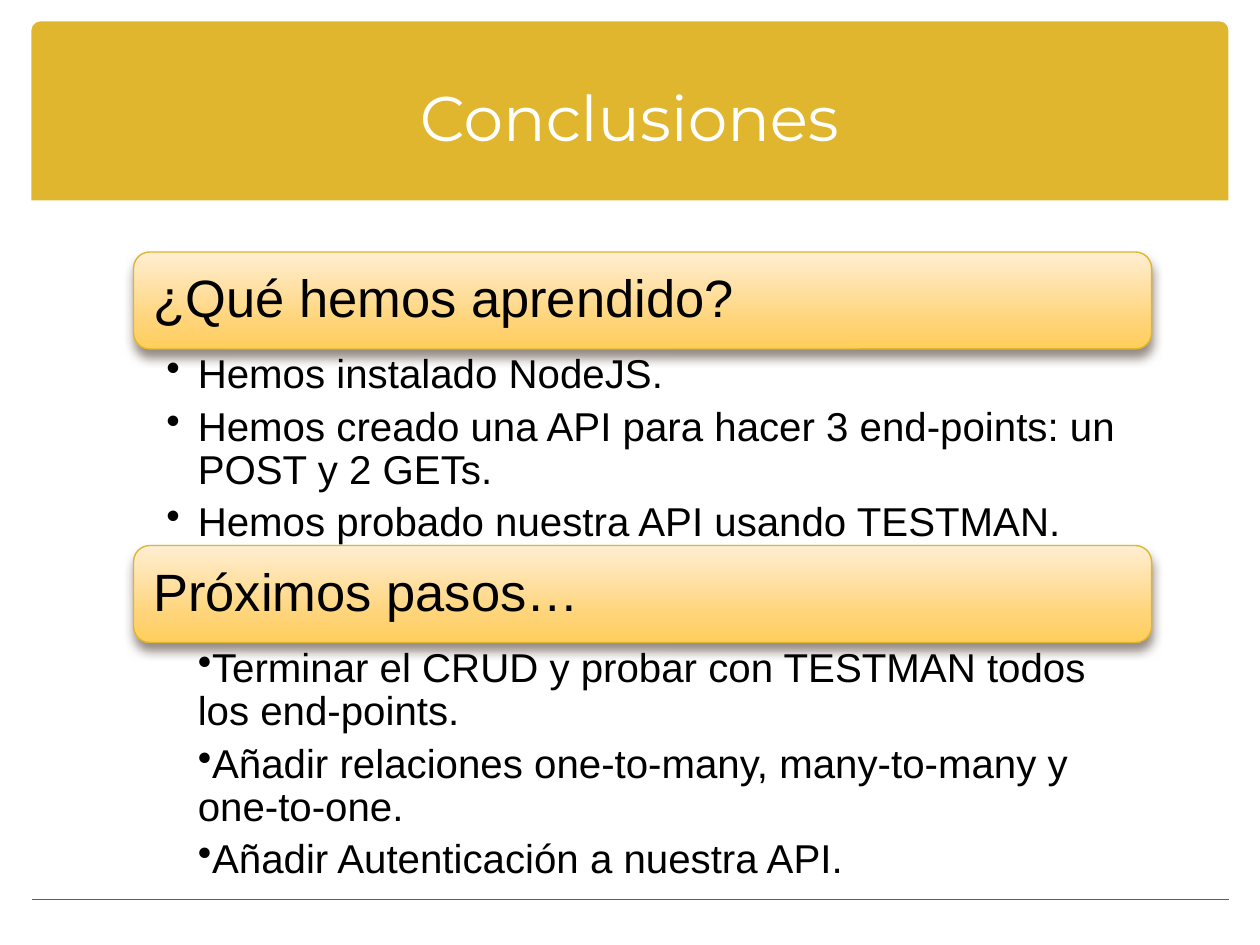
from copy import deepcopy
from dataclasses import dataclass

from lxml import etree
from pptx import Presentation
from pptx import util as u
from pptx.dml.color import RGBColor
from pptx.enum import shapes, text
from pptx.oxml.ns import qn


@dataclass(frozen=True)
class Theme:
    gold: str = "E0B62E"
    rule: str = "5D5C64"
    ink: str = "000000"
    white: str = "FFFFFF"
    shadow: str = "4E3B30"
    glow: tuple = ((0, "FFEED2"), (0.72, "FFD478"), (1, "FFCE5B"))
    title_font: str = "Montserrat"
    body_font: str = "Arial"
    title_size: int = 36
    heading_size: int = 30
    body_size: int = 23


class SlideBuilder:
    COLUMNS, ROWS = 100, 75

    def __init__(self, deck, theme):
        self.theme = theme
        self.column = deck.slide_width / self.COLUMNS
        self.row = deck.slide_height / self.ROWS
        self.page = deck.slides.add_slide(deck.slide_layouts[5])

    def place(self, left, top, width, height):
        return (round(left * self.column), round(top * self.row),
                round(width * self.column), round(height * self.row))

    def style(self, para, font, size, color):
        for span in para.runs:
            span.font.name = font
            span.font.size = u.Pt(size)
            span.font.color.rgb = RGBColor.from_string(color)

    def inset(self, frame, left, top, right, bottom):
        frame.word_wrap = True
        frame.margin_left, frame.margin_top = u.Inches(left), u.Inches(top)
        frame.margin_right, frame.margin_bottom = u.Inches(right), u.Inches(bottom)

    def title(self, words, *area):
        box = self.page.shapes.title
        box.left, box.top, box.width, box.height = self.place(*area)
        frame = box.text_frame
        frame.text = words
        frame.vertical_anchor = text.MSO_ANCHOR.MIDDLE
        para = frame.paragraphs[0]
        para.alignment = text.PP_ALIGN.CENTER
        self.style(para, self.theme.title_font, self.theme.title_size, self.theme.white)

    def band(self, *area):
        band = self.page.shapes.add_shape(
            shapes.MSO_SHAPE.ROUND_2_SAME_RECTANGLE, *self.place(*area))
        band.adjustments[0], band.adjustments[1] = 0.05, 0
        band.shadow.inherit = False
        band.fill.solid()
        band.fill.fore_color.rgb = RGBColor.from_string(self.theme.gold)
        band.line.fill.background()
        self.page.shapes.title.element.addprevious(band.element)

    def rule(self, left, right, row):
        x, y, width, _ = self.place(left, row, right - left, 0)
        line = self.page.shapes.add_connector(
            shapes.MSO_CONNECTOR.STRAIGHT, x, y, x + width, y)
        line.line.color.rgb = RGBColor.from_string(self.theme.rule)
        line.line.width = u.Pt(1)
        etree.SubElement(line.element.spPr, qn("a:effectLst"))

    def glow_fill(self, shape):
        shape.fill.gradient()
        shape.fill.gradient_angle = 270
        stop_list = shape.element.spPr.find(qn("a:gradFill")).find(qn("a:gsLst"))
        stop_list.append(deepcopy(stop_list[-1]))
        for stop, (position, color) in zip(shape.fill.gradient_stops, self.theme.glow):
            stop.position = position
            stop.color.rgb = RGBColor.from_string(color)

    def drop_shadow(self, shape):
        shape.shadow.inherit = False
        effects = shape.element.spPr.find(qn("a:effectLst"))
        shadow = etree.SubElement(
            effects, qn("a:outerShdw"), blurRad=str(u.Pt(6)), dist=str(u.Pt(4)),
            dir="5400000", rotWithShape="0")
        color = etree.SubElement(shadow, qn("a:srgbClr"), val=self.theme.shadow)
        etree.SubElement(color, qn("a:alpha"), val="60000")

    def heading(self, words, *area):
        bar = self.page.shapes.add_shape(
            shapes.MSO_SHAPE.ROUNDED_RECTANGLE, *self.place(*area))
        self.glow_fill(bar)
        bar.line.color.rgb = RGBColor.from_string(self.theme.gold)
        bar.line.width = u.Pt(0.79)
        self.drop_shadow(bar)
        frame = bar.text_frame
        self.inset(frame, 0.12, 0.12, 0.12, 0.12)
        frame.vertical_anchor = text.MSO_ANCHOR.MIDDLE
        frame.text = words
        para = frame.paragraphs[0]
        para.alignment = text.PP_ALIGN.LEFT
        para.line_spacing = 0.9
        self.style(para, self.theme.body_font, self.theme.heading_size, self.theme.ink)

    def bullets(self, items, hanging, *area):
        box = self.page.shapes.add_textbox(*self.place(*area))
        frame = box.text_frame
        self.inset(frame, 0.26, 0.04, 0.23, 0.04)
        frame.text = "\n".join(items)
        for para in frame.paragraphs:
            para.level = 1
            para.line_spacing = 0.9
            para.space_after = u.Pt(5)
            props = para._p.get_or_add_pPr()
            props.set("marL", str(u.Inches(0.25)))
            props.set("indent", str(u.Inches(-hanging)))
            etree.SubElement(props, qn("a:buChar"), char="•")
            self.style(para, self.theme.body_font, self.theme.body_size, self.theme.ink)


def main():
    deck = Presentation()
    deck.slide_width, deck.slide_height = u.Inches(10), u.Inches(7.5)
    slide = SlideBuilder(deck, Theme())
    slide.band(2.5, 1.7, 95, 14.2)
    slide.title("Conclusiones", 3.3, 3, 93.3, 12.5)
    slide.rule(2.5, 97.5, 71.4)

    sections = [
        ("¿Qué hemos aprendido?", 0.25, 15.6, [
            "Hemos instalado NodeJS.",
            "Hemos creado una API para hacer 3 end-points: un POST y 2 GETs.",
            "Hemos probado nuestra API usando TESTMAN.",
        ]),
        ("Próximos pasos…", 0, 19, [
            "Terminar el CRUD y probar con TESTMAN todos los end-points.",
            "Añadir relaciones one-to-many, many-to-many y one-to-one.",
            "Añadir Autenticación a nuestra API.",
        ]),
    ]
    left, width, bar_height, top = 10.6, 80.8, 7.7, 20
    for heading, hanging, list_height, items in sections:
        slide.heading(heading, left, top, width, bar_height)
        slide.bullets(items, hanging, left, top + bar_height, width, list_height)
        top += bar_height + list_height
    deck.save("out.pptx")


if __name__ == "__main__":
    main()
